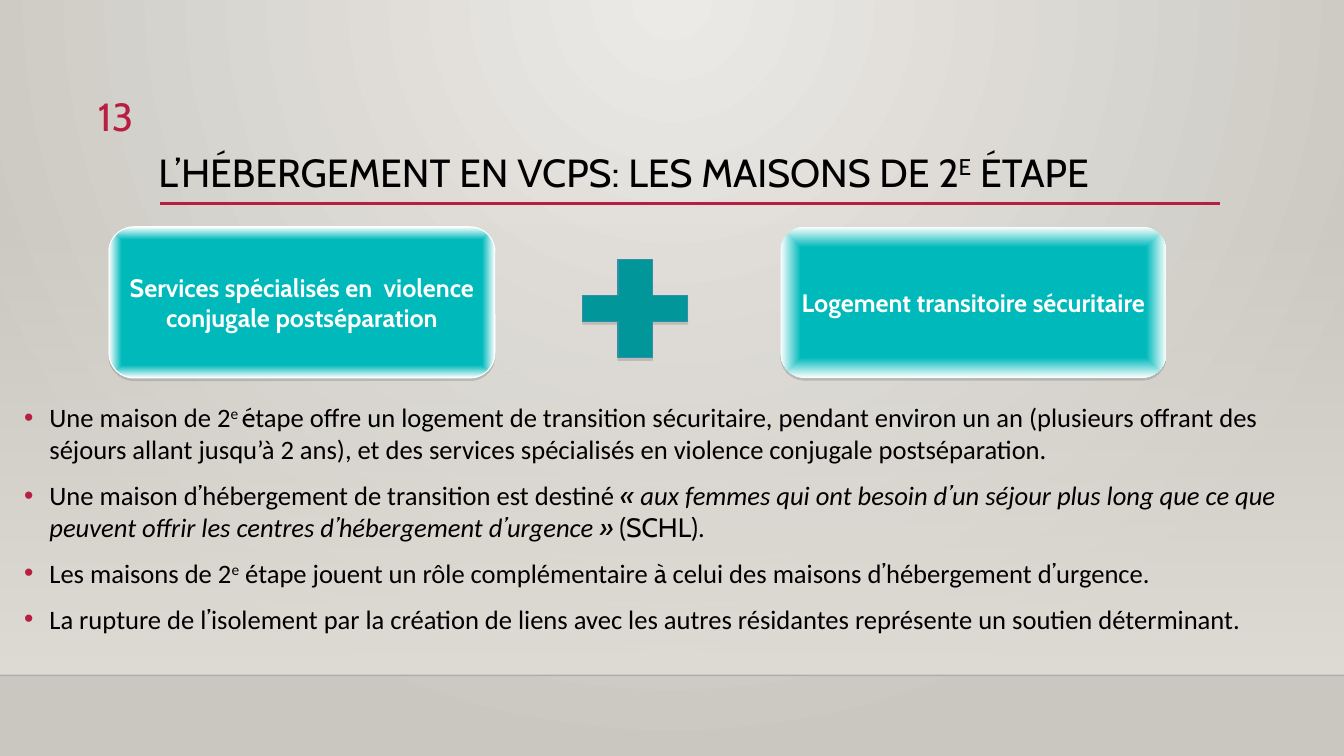
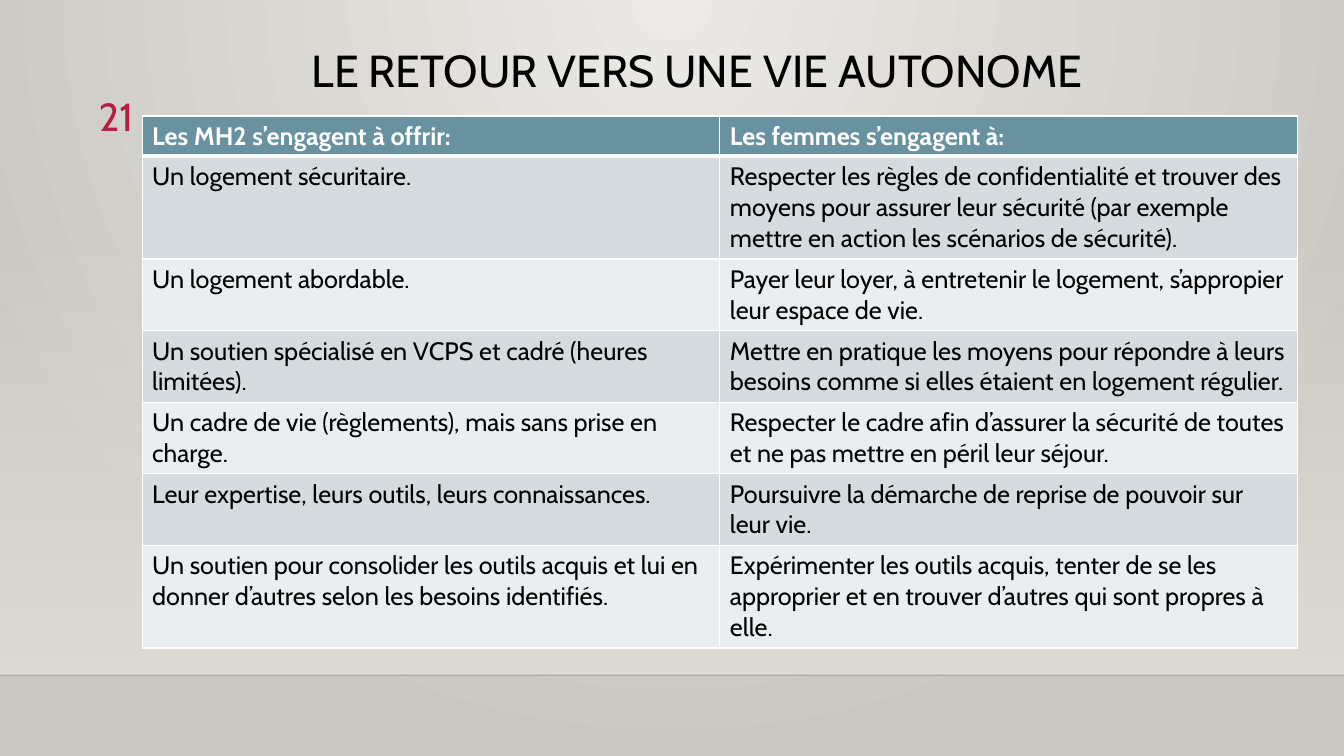
from lxml.etree import SubElement
from pptx import Presentation
from pptx.dml.color import RGBColor
from pptx.enum.shapes import MSO_CONNECTOR, MSO_SHAPE
from pptx.enum.text import MSO_ANCHOR, MSO_AUTO_SIZE, PP_ALIGN
from pptx.oxml.ns import qn
from pptx.util import Inches, Pt

BLACK, WHITE, RED = "000000", "FFFFFF", "B71E42"
SAND, TEAL, PLUS = "DFDBD5", "00B9BB", "00969A"
HEAD, ODD, EVEN = "6892A0", "D4DCDF", "EBEEF0"
MAIN, BODY = "Cabin", "Calibri"


def color(code):
    return RGBColor.from_string(code)


def add(owner, tag, **attrs):
    return SubElement(owner, qn(tag), {key: str(val) for key, val in attrs.items()})


def tint(owner, code, alpha=100):
    node = add(owner, "a:srgbClr", val=code)
    if alpha < 100:
        add(node, "a:alpha", val=alpha * 1000)


def blend(owner, stops, kind=None, rect=None):
    grad = add(owner, "a:gradFill", rotWithShape=1)
    rows = add(grad, "a:gsLst")
    for pos, code, alpha in stops:
        tint(add(rows, "a:gs", pos=pos * 1000), code, alpha)
    if kind:
        sides = {side: val * 1000 for side, val in zip("ltrb", rect)}
        add(add(grad, "a:path", path=kind), "a:fillToRect", **sides)
    else:
        add(grad, "a:lin", ang=5400000, scaled=0)
    owner.replace(owner.find(qn("a:solidFill")), grad)


class Deck:
    def __init__(self):
        self.file = Presentation()
        self.file.slide_width, self.file.slide_height = Inches(13.33), Inches(7.5)
        master = self.file.slide_master
        master.background.fill.solid()
        blend(master.element.find(".//" + qn("p:bgPr")),
              [(0, "ECEAE7", 100), (100, "CAC7C1", 100)], "circle", (43, 0, 43, 100))

    def start(self, layout, title, place, size, number):
        self.slide = self.file.slides.add_slide(self.file.slide_layouts[layout])
        self.shapes = self.slide.shapes
        band = self.shape(MSO_SHAPE.RECTANGLE, (0, 2.21, 13.33, 4.49), SAND)
        blend(band._element.spPr, [(0, SAND, 0), (100, SAND, 100)])
        edge = self.line((0, 6.7, 13.33, 6.7), "000001", 1, 20)
        rule = self.line((1.59, 2.02, 12.1, 2.02), RED, 2.5)
        for spot, part in enumerate((band, edge, rule), 2):
            self.shapes.element.insert(spot, part._element)
        self.title(title, place, size)
        self.number(number)

    def font(self, run, size, code=BLACK, name=MAIN, bold=False, slant=False):
        font = run.font
        font.size, font.name, font.bold, font.italic = Pt(size), name, bold, slant
        font.color.rgb = color(code)

    def runs(self, para, text, size, name=MAIN):
        for piece in text.split("|"):
            run = para.add_run()
            run.text = piece.lstrip("^@*")
            flags = piece[:len(piece) - len(run.text)]
            self.font(run, size, name=MAIN if "@" in flags else name, slant="*" in flags)
            if "^" in flags:
                run._r.get_or_add_rPr().set("baseline", "30000")

    def move(self, shape, place):
        shape.left, shape.top, shape.width, shape.height = map(Inches, place)

    def title(self, text, place, size):
        title = self.shapes.title
        self.move(title, place)
        frame = title.text_frame
        frame.auto_size = MSO_AUTO_SIZE.NONE
        frame.vertical_anchor = MSO_ANCHOR.MIDDLE
        para = frame.paragraphs[0]
        para.alignment, para.line_spacing = PP_ALIGN.LEFT, 0.9
        self.runs(para, text, size)

    def number(self, text):
        frame = self.shapes.add_textbox(*map(Inches, (0.53, 0.87, 0.89, 0.55))).text_frame
        frame.word_wrap = True
        frame.text = text
        para = frame.paragraphs[0]
        para.alignment = PP_ALIGN.RIGHT
        self.font(para.runs[0], 28, RED)

    def list(self, items, place):
        body = self.slide.placeholders[1]
        self.move(body, place)
        frame = body.text_frame
        frame.auto_size = MSO_AUTO_SIZE.NONE
        for spot, text in enumerate(items):
            para = frame.add_paragraph() if spot else frame.paragraphs[0]
            para.space_before = Pt(10 if spot else 0)
            props = para._p.get_or_add_pPr()
            props.set("marL", str(Inches(0.25)))
            props.set("indent", str(-Inches(0.25)))
            tint(add(props, "a:buClr"), RED)
            add(props, "a:buFont", typeface="Arial")
            add(props, "a:buChar", char="•")
            self.runs(para, text, 19, BODY)

    def line(self, ends, code, width, alpha=100):
        line = self.shapes.add_connector(MSO_CONNECTOR.STRAIGHT, *map(Inches, ends))
        line.line.color.rgb, line.line.width = color(code), Pt(width)
        props = line._element.spPr
        if alpha < 100:
            add(props.find(".//" + qn("a:srgbClr")), "a:alpha", val=alpha * 1000)
        add(props, "a:effectLst")
        return line

    def style(self, shape, fill, edge=None):
        shape.shadow.inherit = False
        shape.fill.solid()
        shape.fill.fore_color.rgb = color(fill)
        if edge:
            shape.line.color.rgb, shape.line.width = color(edge), Pt(0.75)
        else:
            shape.line.fill.background()
        return shape

    def shape(self, kind, place, fill, edge=None):
        return self.style(self.shapes.add_shape(kind, *map(Inches, place)), fill, edge)

    def shade(self, shape):
        glow = shape._element.spPr.find(qn("a:effectLst"))
        tint(add(glow, "a:outerShdw", blurRad=0, dist=Pt(1.8), dir=5400000,
                 rotWithShape=0), "808080", 35)

    def box(self, text, left, stop, edge=None):
        box = self.shape(MSO_SHAPE.ROUNDED_RECTANGLE, (left, 2.25, 3.83, 1.5), TEAL, edge)
        stops = [(0, TEAL, 100), (stop, TEAL, 100), (100, WHITE, 100)]
        blend(box._element.spPr, stops, "shape", (50,) * 4)
        self.shade(box)
        frame = box.text_frame
        frame.word_wrap, frame.vertical_anchor = True, MSO_ANCHOR.MIDDLE
        frame.text = text
        para = frame.paragraphs[0]
        para.alignment = PP_ALIGN.CENTER
        self.font(para.runs[0], 18, WHITE, bold=True)

    def plus(self, xs, ys):
        a, b, c, d = map(Inches, xs)
        e, f, g, h = map(Inches, ys)
        form = self.shapes.build_freeform(a, f)
        form.add_line_segments([(b, f), (b, e), (c, e), (c, f), (d, f), (d, g),
                                (c, g), (c, h), (b, h), (b, g), (a, g)], close=True)
        self.shade(self.style(form.convert_to_shape(), PLUS, "348FA6"))

    def cell(self, cell, text, row):
        cell.text = text
        run = cell.text_frame.paragraphs[0].runs[0]
        self.font(run, 18, BLACK if row else WHITE, bold=not row)
        cell.fill.solid()
        cell.fill.fore_color.rgb = color((ODD if row % 2 else EVEN) if row else HEAD)
        props = cell._tc.get_or_add_tcPr()
        for spot, side in enumerate("LRTB"):
            thick = (row, side) in ((0, "B"), (1, "T"))
            edge = add(props, "a:ln" + side, w=Pt(3 if thick else 1))
            tint(add(edge, "a:solidFill"), WHITE)
            props.insert(spot, edge)

    def table(self, rows, place, highs):
        frame = self.shapes.add_table(len(rows), len(rows[0]), *map(Inches, place))
        for row, texts in enumerate(rows):
            frame.table.rows[row].height = Inches(highs[row])
            for col, text in enumerate(texts):
                self.cell(frame.table.cell(row, col), text, row)


def main():
    deck = Deck()
    deck.start(1, "L’HÉBERGEMENT EN VCPS: LES MAISONS DE 2|^E| ÉTAPE",
               (1.47, 1.42, 11.47, 0.63), 28, "13")
    deck.list([
        "Une maison de 2|^e |@é|tape offre un logement de transition sécuritaire, pendant "
        "environ un an (plusieurs offrant des séjours allant jusqu’à 2 ans), et des services "
        "spécialisés en violence conjugale postséparation.",
        "Une maison d|@’|hébergement de transition est destiné |@*«|* aux femmes qui ont "
        "besoin d|@*’|*un séjour plus long que ce que peuvent offrir les centres "
        "d|@*’|*hébergement d|@*’|*urgence|@* »|@ (SCHL)|.",
        "Les maisons de 2|^e| étape jouent un rôle complémentaire |@à| celui des maisons "
        "d|@’|hébergement d|@’|urgence.",
        "La rupture de l|@’|isolement par la création de liens avec les autres résidantes "
        "représente un soutien déterminant.",
    ], (0.14, 3.93, 13.01, 2.59))
    deck.box("Services spécialisés en  violence conjugale postséparation", 1.08, 83, WHITE)
    deck.plus((5.78, 6.13, 6.47, 6.82), (2.57, 2.93, 3.19, 3.55))
    deck.box("Logement transitoire sécuritaire", 7.74, 73)

    deck.start(5, "LE RETOUR VERS UNE VIE AUTONOME", (2.99, 0.4, 8.06, 0.65), 32, "21")
    deck.table([
        ("Les MH2 s’engagent à offrir:", "Les femmes s’engagent à:"),
        ("Un logement sécuritaire.",
         "Respecter les règles de confidentialité et trouver des moyens pour assurer leur "
         "sécurité (par exemple mettre en action les scénarios de sécurité)."),
        ("Un logement abordable.",
         "Payer leur loyer, à entretenir le logement, s’appropier leur espace de vie."),
        ("Un soutien spécialisé en VCPS et cadré (heures limitées).",
         "Mettre en pratique les moyens pour répondre à leurs besoins comme si elles étaient "
         "en logement régulier."),
        ("Un cadre de vie (règlements), mais sans prise en charge.",
         "Respecter le cadre afin d’assurer la sécurité de toutes et ne pas mettre en péril "
         "leur séjour."),
        ("Leur expertise, leurs outils, leurs connaissances.",
         "Poursuivre la démarche de reprise de pouvoir sur leur vie."),
        ("Un soutien pour consolider les outils acquis et lui en donner d’autres selon les "
         "besoins identifiés.",
         "Expérimenter les outils acquis, tenter de se les approprier et en trouver d’autres "
         "qui sont propres à elle."),
    ], (1.41, 1.15, 11.46, 5.28), (0.4, 1.02, 0.71, 0.71, 0.71, 0.71, 1.02))
    deck.file.save("out.pptx")


if __name__ == "__main__":
    main()
